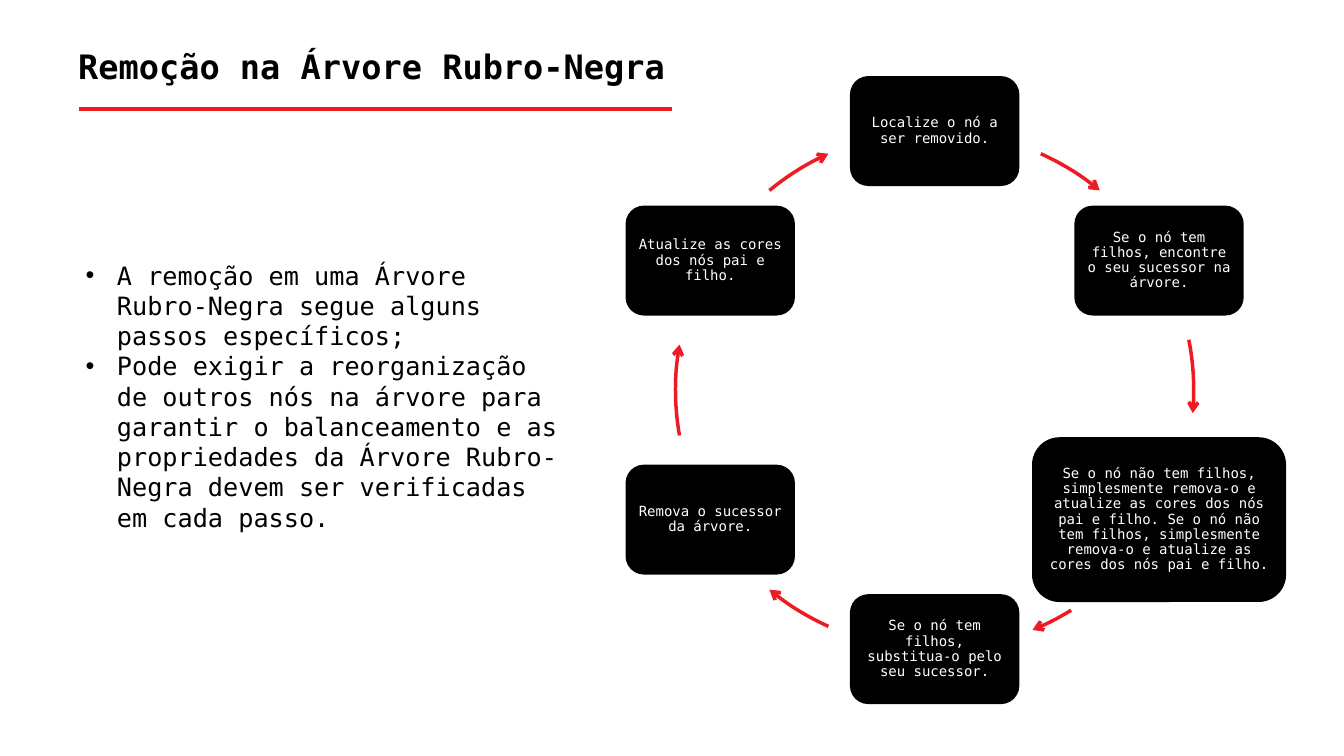
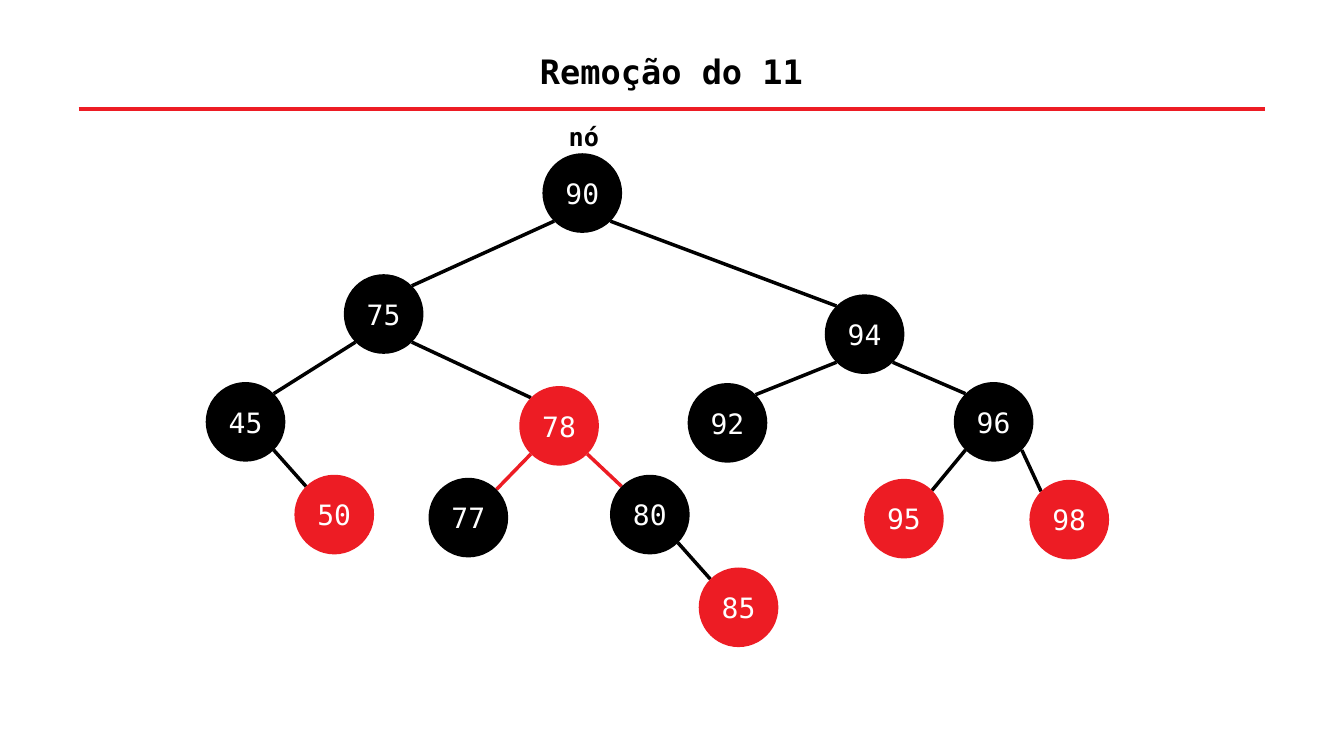
from dataclasses import dataclass
from math import cos, radians, sin

from lxml import etree
from pptx import Presentation
from pptx.dml.color import RGBColor
from pptx.enum.shapes import MSO_CONNECTOR, MSO_SHAPE
from pptx.enum.text import MSO_ANCHOR, MSO_AUTO_SIZE, PP_ALIGN
from pptx.oxml.ns import qn
from pptx.util import Inches, Pt

BLACK = "000000"
WHITE = "FFFFFF"
RED = "ED1C24"
FONT = "DejaVu Sans Mono"

STRAIGHT = MSO_CONNECTOR.STRAIGHT
ROUNDED = MSO_SHAPE.ROUNDED_RECTANGLE
OVAL = MSO_SHAPE.OVAL
CENTER = PP_ALIGN.CENTER
LEFT = PP_ALIGN.LEFT
MIDDLE = MSO_ANCHOR.MIDDLE
TOP = MSO_ANCHOR.TOP
NO_FIT = MSO_AUTO_SIZE.NONE

MARGIN = 0.78
RULE_TOP = 1.08
CYCLE_X, CYCLE_Y, CYCLE_RADIUS = 9.27, 3.87, 2.57
STEP_WIDTH, STEP_HEIGHT = 1.68, 1.09
ANGLE_UNITS = 60000
NODE_SIZE = 0.79
NODE_REACH = NODE_SIZE / 2 * cos(radians(45))


@dataclass(frozen=True)
class Step:
    text: str
    arrow_start: float
    arrow_end: float
    scale: float = 1.0


@dataclass(frozen=True)
class Node:
    key: int
    left: float
    top: float
    color: str = BLACK

    @property
    def center(self) -> tuple[float, float]:
        return self.left + NODE_SIZE / 2, self.top + NODE_SIZE / 2


@dataclass(frozen=True)
class Edge:
    parent: int
    child: int
    color: str = BLACK


BULLETS = (
    "A remoção em uma Árvore Rubro-Negra segue alguns passos específicos;",
    "Pode exigir a reorganização de outros nós na árvore para garantir o "
    "balanceamento e as propriedades da Árvore Rubro-Negra devem ser "
    "verificadas em cada passo.",
)

STEPS = (
    Step("Localize o nó a ser removido.", -65.8, -50.4),
    Step("Se o nó tem filhos, encontre o seu sucessor na árvore.", -11.2, 5.1),
    Step(
        "Se o nó não tem filhos, simplesmente remova-o e atualize as cores dos "
        "nós pai e filho. Se o nó não tem filhos, simplesmente remova-o e "
        "atualize as cores dos nós pai e filho.",
        58.2, 67.8, 1.5,
    ),
    Step("Se o nó tem filhos, substitua-o pelo seu sucessor.", 114.2, 129.6),
    Step("Remova o sucessor da árvore.", 169.9, 190.1),
    Step("Atualize as cores dos nós pai e filho.", 230.4, 245.8),
)

NODES = (
    Node(90, 5.38, 1.52),
    Node(75, 3.41, 2.72),
    Node(94, 8.18, 2.92),
    Node(45, 2.04, 3.79),
    Node(78, 5.15, 3.83, RED),
    Node(92, 6.82, 3.8),
    Node(96, 9.46, 3.79),
    Node(50, 2.92, 4.71, RED),
    Node(77, 4.25, 4.74),
    Node(80, 6.05, 4.71),
    Node(95, 8.57, 4.75, RED),
    Node(98, 10.21, 4.76, RED),
    Node(85, 6.93, 5.63, RED),
)

EDGES = (
    Edge(90, 75),
    Edge(90, 94),
    Edge(75, 45),
    Edge(75, 78),
    Edge(94, 92),
    Edge(94, 96),
    Edge(45, 50),
    Edge(78, 77, RED),
    Edge(78, 80, RED),
    Edge(96, 95),
    Edge(96, 98),
    Edge(80, 85),
)


def rgb(color: str) -> RGBColor:
    return RGBColor.from_string(color)


def place(shape, left: float, top: float, width: float, height: float) -> None:
    shape.left, shape.top = Inches(left), Inches(top)
    shape.width, shape.height = Inches(width), Inches(height)


def set_frame(shape, anchor, inset: float | None = None):
    frame = shape.text_frame
    frame.word_wrap = True
    frame.auto_size = NO_FIT
    frame.vertical_anchor = anchor
    if inset is not None:
        frame.margin_left = frame.margin_right = Inches(inset)
        frame.margin_top = frame.margin_bottom = Inches(inset)
    return frame


def add_span(para, text: str, size: float, color: str = BLACK,
             bold: bool = False, align=CENTER) -> None:
    para.alignment = align
    span = para.add_run()
    span.text = text
    span.font.name = FONT
    span.font.size = Pt(size)
    span.font.bold = bold
    span.font.color.rgb = rgb(color)


def add_line(slide, start: tuple[float, float], end: tuple[float, float],
             color: str, width: float) -> None:
    points = [Inches(value) for value in (*start, *end)]
    line = slide.shapes.add_connector(STRAIGHT, *points)
    line.line.color.rgb = rgb(color)
    line.line.width = Pt(width)
    properties = line._element.find(qn("p:spPr"))
    etree.SubElement(properties, qn("a:effectLst"))


def add_title(slide, text: str, left: float, top: float, width: float,
              rule_end: float) -> None:
    title = slide.shapes.title
    place(title, left, top, width, 0.5)
    frame = set_frame(title, MIDDLE)
    add_span(frame.paragraphs[0], text, 24, bold=True)
    add_line(slide, (MARGIN, RULE_TOP), (rule_end, RULE_TOP), RED, 3)


def add_bullets(slide, items: tuple[str, ...]) -> None:
    body = slide.placeholders[1]
    place(body, 0.75, 2.53, 4.99, 2.83)
    frame = set_frame(body, TOP)
    for index, item in enumerate(items):
        para = frame.paragraphs[0] if index == 0 else frame.add_paragraph()
        para.space_before = Pt(0)
        properties = para._p.get_or_add_pPr()
        properties.set("marL", str(Inches(0.31)))
        properties.set("indent", str(-Inches(0.31)))
        bullet_font = etree.SubElement(properties, qn("a:buFont"))
        bullet_font.set("typeface", "Arial")
        bullet = etree.SubElement(properties, qn("a:buChar"))
        bullet.set("char", "•")
        add_span(para, item, 18, align=LEFT)


def add_filled_shape(slide, kind, left: float, top: float, width: float,
                     height: float, color: str):
    shape = slide.shapes.add_shape(
        kind, Inches(left), Inches(top), Inches(width), Inches(height))
    shape.shadow.inherit = False
    shape.fill.solid()
    shape.fill.fore_color.rgb = rgb(color)
    shape.line.fill.background()
    return shape


def circle_point(x: float, y: float, angle: float) -> tuple[float, float]:
    return (x + CYCLE_RADIUS * cos(radians(angle)),
            y + CYCLE_RADIUS * sin(radians(angle)))


def set_arc(arrow, start: float, end: float) -> None:
    outline = arrow._element.spPr.find(".//" + qn("a:path"))
    for child in list(outline):
        outline.remove(child)
    diameter = str(Inches(2 * CYCLE_RADIUS))
    outline.set("w", diameter)
    outline.set("h", diameter)
    x, y = circle_point(CYCLE_RADIUS, CYCLE_RADIUS, start)
    move = etree.SubElement(outline, qn("a:moveTo"))
    point = etree.SubElement(move, qn("a:pt"))
    point.set("x", str(Inches(x)))
    point.set("y", str(Inches(y)))
    arc = etree.SubElement(outline, qn("a:arcTo"))
    arc.set("wR", str(Inches(CYCLE_RADIUS)))
    arc.set("hR", str(Inches(CYCLE_RADIUS)))
    arc.set("stAng", str(round(start % 360 * ANGLE_UNITS)))
    arc.set("swAng", str(round((end - start) * ANGLE_UNITS)))


def add_arc_arrow(slide, start: float, end: float) -> None:
    left, top = CYCLE_X - CYCLE_RADIUS, CYCLE_Y - CYCLE_RADIUS
    size = 2 * CYCLE_RADIUS
    builder = slide.shapes.build_freeform(Inches(left), Inches(top))
    corner = (Inches(left + size), Inches(top + size))
    builder.add_line_segments([corner], close=False)
    arrow = builder.convert_to_shape()
    set_arc(arrow, start, end)
    arrow.shadow.inherit = False
    arrow.fill.background()
    arrow.line.color.rgb = rgb(RED)
    arrow.line.width = Pt(2.5)
    line = arrow._element.spPr.find(qn("a:ln"))
    etree.SubElement(line, qn("a:tailEnd")).set("type", "arrow")


def add_step(slide, step: Step, angle: float) -> None:
    x, y = circle_point(CYCLE_X, CYCLE_Y, angle)
    width, height = STEP_WIDTH * step.scale, STEP_HEIGHT * step.scale
    box = add_filled_shape(slide, ROUNDED, x - width / 2, y - height / 2,
                           width, height, BLACK)
    para = set_frame(box, MIDDLE, 0.04).paragraphs[0]
    para.line_spacing = 0.9
    add_span(para, step.text, 10, WHITE)
    add_arc_arrow(slide, step.arrow_start, step.arrow_end)


def add_edge(slide, parent: Node, child: Node, color: str) -> None:
    parent_x, parent_y = parent.center
    child_x, child_y = child.center
    reach = NODE_REACH if child_x > parent_x else -NODE_REACH
    add_line(slide, (parent_x + reach, parent_y + NODE_REACH),
             (child_x - reach, child_y - NODE_REACH), color, 2.5)


def add_node(slide, node: Node) -> None:
    circle = add_filled_shape(slide, OVAL, node.left, node.top,
                              NODE_SIZE, NODE_SIZE, node.color)
    frame = set_frame(circle, MIDDLE, 0)
    add_span(frame.paragraphs[0], str(node.key), 20, WHITE)


def build_removal_slide(deck) -> None:
    slide = deck.slides.add_slide(deck.slide_layouts[1])
    add_title(slide, "Remoção na Árvore Rubro-Negra", 0.62, 0.41, 6.13, 6.67)
    add_bullets(slide, BULLETS)
    for index, step in enumerate(STEPS):
        add_step(slide, step, -90 + index * 360 / len(STEPS))


def build_tree_slide(deck) -> None:
    slide = deck.slides.add_slide(deck.slide_layouts[5])
    add_title(slide, "Remoção do 11", MARGIN, 0.45, 11.76, 12.55)
    label = slide.shapes.add_textbox(
        Inches(5.45), Inches(1.15), Inches(0.68), Inches(0.4))
    add_span(set_frame(label, TOP).paragraphs[0], "nó", 18, bold=True)
    nodes = {node.key: node for node in NODES}
    for edge in EDGES:
        add_edge(slide, nodes[edge.parent], nodes[edge.child], edge.color)
    for node in NODES:
        add_node(slide, node)


def main() -> None:
    deck = Presentation()
    deck.slide_width, deck.slide_height = Inches(13.33), Inches(7.5)
    build_removal_slide(deck)
    build_tree_slide(deck)
    deck.save("out.pptx")


if __name__ == "__main__":
    main()
